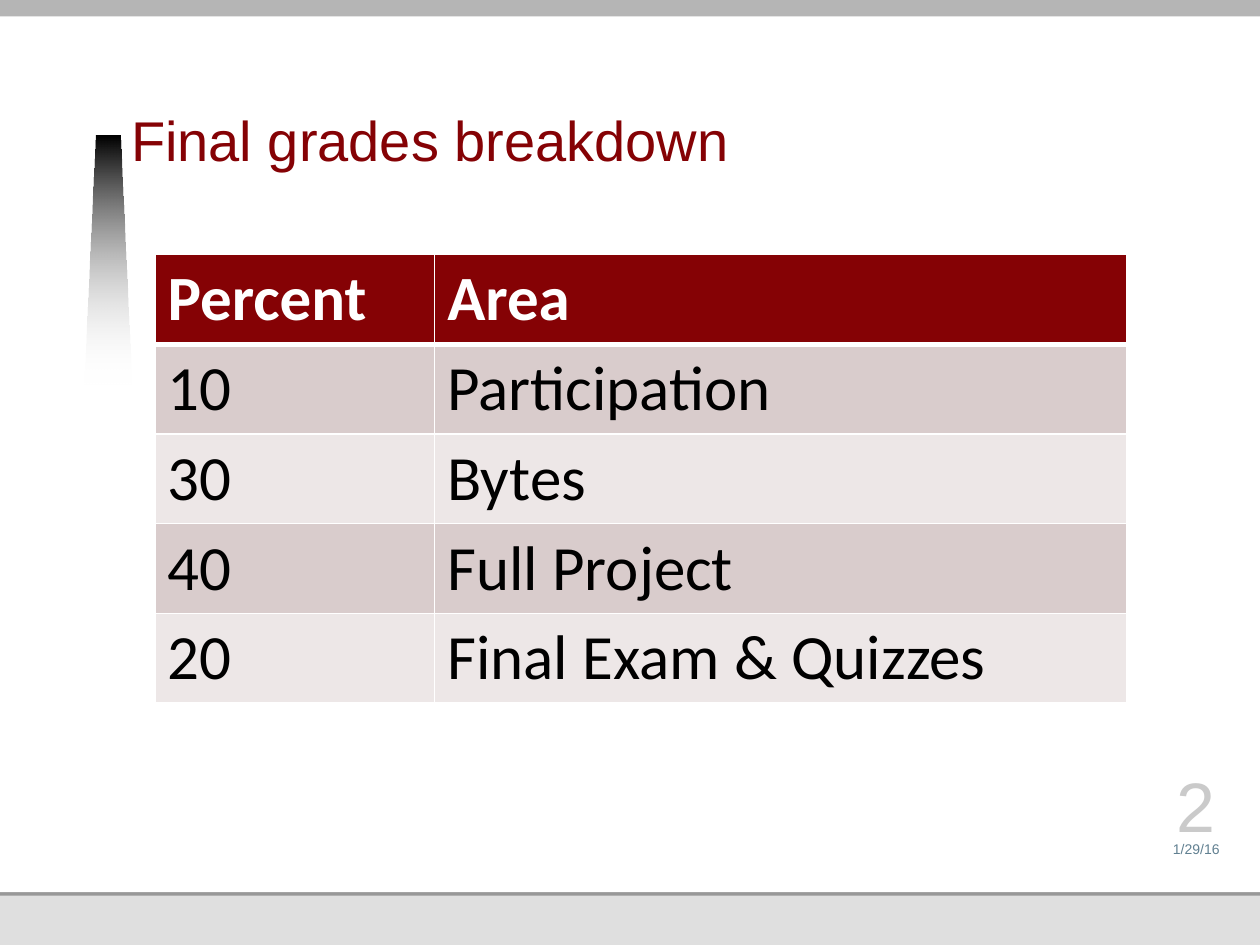
from lxml.etree import SubElement
from pptx import Presentation
from pptx.dml.color import RGBColor
from pptx.enum.shapes import MSO_SHAPE as SHAPE
from pptx.enum.text import MSO_ANCHOR as ANCHOR, PP_ALIGN as ALIGN
from pptx.oxml.ns import qn
from pptx.util import Emu, Pt

EMU_PER_PX = 9144  # 100 px to the inch
MAROON, WHITE, BLACK = "850205", "FFFFFF", "000000"
ROW_FILLS = ["D9CCCC", "EDE7E7"]
GRADES = [
    ("Percent", "Area"),
    ("10", "Participation"),
    ("30", "Bytes"),
    ("40", "Full Project"),
    ("20", "Final Exam & Quizzes"),
]


def px(length):
    return Emu(length * EMU_PER_PX)


def color(hex_code):
    return RGBColor.from_string(hex_code)


def write(frame, text, *, size, ink, font="Arial", bold=False, align=ALIGN.LEFT,
          line_spacing=None, tracking=None):
    paragraph = frame.paragraphs[0]
    paragraph.alignment = align
    if line_spacing:
        paragraph.line_spacing = Pt(line_spacing)
    run = paragraph.add_run()
    run.text = text
    run.font.name, run.font.size, run.font.bold = font, Pt(size), bold
    run.font.color.rgb = color(ink)
    if tracking:
        run.font._element.set("spc", str(tracking * 100))


def set_bottom_frame(frame, bottom_inset=0):
    """Anchor the text to the bottom of a box without side insets."""
    frame.word_wrap = True
    frame.vertical_anchor = ANCHOR.BOTTOM
    frame.margin_left = frame.margin_top = frame.margin_right = 0
    frame.margin_bottom = px(bottom_inset)


def add_band(slide, left, top, width, height, fill):
    band = slide.shapes.add_shape(SHAPE.RECTANGLE, *map(px, (left, top, width, height)))
    band.shadow.inherit = False
    band.fill.solid()
    band.fill.fore_color.rgb = color(fill)
    band.line.fill.background()


def add_backdrop(slide, width, height):
    add_band(slide, 0, 0, width, height, "DFDFDF")
    add_band(slide, 0, 178, width, 533, "989898")
    add_band(slide, 0, 0, width, 708, WHITE)
    add_band(slide, 0, 0, width, 13, "B5B5B5")


def add_beam(slide, left, top, width, height):
    """Draw the tapered bar that fades out downwards."""
    taper = width // 4
    builder = slide.shapes.build_freeform(left, top + height, scale=EMU_PER_PX)
    builder.add_line_segments([
        (left + taper, top),
        (left + width - taper, top),
        (left + width, top + height),
    ], close=True)
    beam = builder.convert_to_shape()
    beam.shadow.inherit = False
    beam.line.fill.background()
    beam.fill.gradient()
    beam.fill.gradient_angle = 270
    for stop, shade in zip(beam.fill.gradient_stops, (BLACK, WHITE)):
        stop.color.rgb = color(shade)
    faded = list(beam._element.spPr.iter(qn("a:srgbClr")))[-1]
    SubElement(faded, qn("a:alpha"), val="0")


def place_title(slide, left, top, width, height):
    title = slide.shapes.title
    title.left, title.top, title.width, title.height = map(px, (left, top, width, height))
    slide.shapes._spTree.append(title._element)  # in front of the backdrop
    set_bottom_frame(title.text_frame, bottom_inset=5)
    write(title.text_frame, "Final grades breakdown", size=32, ink=MAROON, line_spacing=34)


def set_borders(cell, **widths):
    properties = cell._tc.get_or_add_tcPr()
    for index, (side, width) in enumerate(widths.items()):
        line = properties.makeelement(qn(f"a:ln{side}"), {"w": str(Pt(width))})
        fill = SubElement(line, qn("a:solidFill"))
        SubElement(fill, qn("a:srgbClr"), val=WHITE)
        properties.insert(index, line)


def add_grades(slide, left, top, width, height):
    frame = slide.shapes.add_table(
        len(GRADES), len(GRADES[0]), *map(px, (left, top, width, height)))
    table = frame.table
    percent_width = 222
    table.columns[0].width = px(percent_width)
    table.columns[1].width = px(width - percent_width)
    for row, values in enumerate(GRADES):
        header = row == 0
        for column, value in enumerate(values):
            cell = table.cell(row, column)
            cell.fill.solid()
            cell.fill.fore_color.rgb = color(MAROON if header else ROW_FILLS[(row - 1) % 2])
            write(cell.text_frame, value, size=36, font="Calibri", bold=header,
                  ink=WHITE if header else BLACK)
            set_borders(cell, L=1, R=1, T=3 if row == 1 else 1, B=3 if header else 1)


def add_stamp(slide, left, top, width, height, text, **style):
    stamp = slide.shapes.add_textbox(*map(px, (left, top, width, height)))
    set_bottom_frame(stamp.text_frame)
    write(stamp.text_frame, text, align=ALIGN.CENTER, **style)


def main():
    deck = Presentation()
    deck.slide_width, deck.slide_height = px(1000), px(750)
    slide = deck.slides.add_slide(deck.slide_layouts[5])
    add_backdrop(slide, 1000, 750)
    add_beam(slide, 67, 108, 37, 197)
    place_title(slide, 104, 34, 687, 108)
    add_grades(slide, 123, 202, 771, 350)
    add_stamp(slide, 913, 658, 73, 22, "1/29/16", size=8, ink="618091")
    add_stamp(slide, 913, 616, 73, 56, "2", size=40, ink="CACACA", tracking=-5)
    deck.save("out.pptx")


if __name__ == "__main__":
    main()
